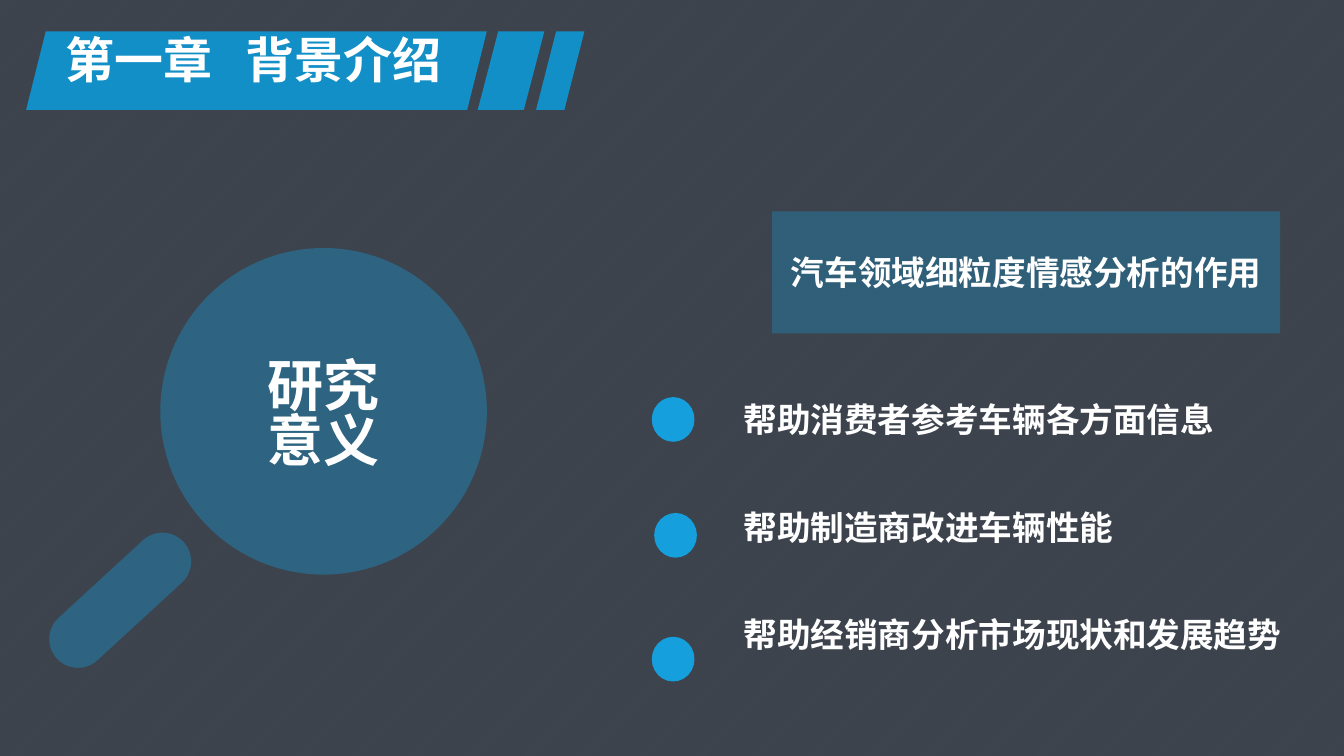
from lxml import etree
from pptx import Presentation
from pptx.dml.color import RGBColor
from pptx.enum.dml import MSO_PATTERN
from pptx.enum.shapes import MSO_SHAPE as Shape
from pptx.enum.text import MSO_ANCHOR as Anchor, MSO_AUTO_SIZE as AutoSize, PP_ALIGN as Align
from pptx.oxml.ns import qn
from pptx.util import Cm, Pt

SLATE = RGBColor(0x22, 0x2A, 0x35)
STRIPE = RGBColor(0xBF, 0xBF, 0xBF)
PAPER = RGBColor(0xDD, 0xDC, 0xE2)
RIBBON = RGBColor(0x13, 0x8F, 0xC7)
SKY = RGBColor(0x15, 0x9F, 0xDD)
WHITE = RGBColor(0xFF, 0xFF, 0xFF)
FONT = "Noto Sans CJK SC"
WIDTH, HEIGHT = 33.87, 19.05  # all plain lengths are centimetres

BENEFITS = ["帮助消费者参考车辆各方面信息", "帮助制造商改进车辆性能", "帮助经销商分析市场现状和发展趋势"]


def add_filled(slide, preset, box, color, opacity=100):
    shape = slide.shapes.add_shape(preset, *map(Cm, box))
    shape.shadow.inherit = False
    shape.fill.solid()
    shape.fill.fore_color.rgb = color
    shape.line.fill.background()
    if opacity < 100:
        fill_color = next(shape._element.spPr.iter(qn("a:srgbClr")))
        etree.SubElement(fill_color, qn("a:alpha"), val=str(opacity * 1000))
    return shape


def format_text(frame, size, align):
    for paragraph in frame.paragraphs:
        paragraph.alignment = align
        for run in paragraph.runs:
            run.font.size, run.font.bold = Pt(size), True
            run.font.name = FONT
            run.font.color.rgb = WHITE
            etree.SubElement(run.font._element, qn("a:ea"), typeface=FONT)


def place_placeholder(slide, placeholder, box, text, size):
    placeholder.left, placeholder.top, placeholder.width, placeholder.height = map(Cm, box)
    slide.shapes._spTree.append(placeholder._element)  # bring to front
    frame = placeholder.text_frame
    frame.text = text
    frame.margin_left = frame.margin_right = frame.margin_top = frame.margin_bottom = 0
    frame.auto_size = AutoSize.NONE
    frame.vertical_anchor = Anchor.TOP
    format_text(frame, size, Align.LEFT)
    return frame


def add_backdrop(slide, box):
    fill = slide.background.fill
    fill.patterned()
    fill.pattern = MSO_PATTERN.LIGHT_UPWARD_DIAGONAL
    fill.fore_color.rgb, fill.back_color.rgb = STRIPE, PAPER
    add_filled(slide, Shape.RECTANGLE, box, SLATE, 85)


def add_chapter_ribbon(slide, box):
    left, top, width, height = box
    # Slanted bands: offset, width, slant
    for offset, band_width, slant in [(0, 11.61, 0.25), (11.38, 1.68, 0.308), (12.85, 1.22, 0.415)]:
        band = add_filled(slide, Shape.PARALLELOGRAM, (left + offset, top, band_width, height), RIBBON)
        band.adjustments[0] = slant
    # Chapter number and name, parted by a tab stop
    frame = place_placeholder(slide, slide.shapes.title, (left + 0.99, top - 0.05, 10.2, 1.75),
                              "第一章\t背景介绍", 35)
    tabs = etree.SubElement(frame.paragraphs[0]._p.get_or_add_pPr(), qn("a:tabLst"))
    etree.SubElement(tabs, qn("a:tab"), pos=str(Cm(4.53)), algn="l")


def add_magnifier(slide, box):
    left, top, width, height = box
    lens_size = 8.23
    lens = add_filled(slide, Shape.OVAL, (left + width - lens_size, top, lens_size, lens_size), SKY, 36)
    frame = lens.text_frame
    frame.text = "研究\n意义"
    frame.vertical_anchor = Anchor.MIDDLE
    format_text(frame, 40, Align.CENTER)
    frame.paragraphs[1].line_spacing = 0.81
    handle = add_filled(slide, Shape.ROUNDED_RECTANGLE, (left, top + height - 1.45, 4.34, 1.45), SKY, 36)
    handle.adjustments[0] = 0.5
    handle.rotation = 317.4


def add_banner(slide, box):
    banner = add_filled(slide, Shape.RECTANGLE, box, SKY, 30)
    banner.text_frame.text = "汽车领域细粒度情感分析的作用"
    banner.text_frame.vertical_anchor = Anchor.MIDDLE
    format_text(banner.text_frame, 24, Align.CENTER)


def add_benefits(slide, box):
    left, top, width, height = box
    # Dots
    for x, y in [(0, 0), (0.06, 2.92), (0, 6.04)]:
        dot = add_filled(slide, Shape.OVAL, (left + x, top + y, 0.97, 1.02), SKY)
        dot.line.color.rgb, dot.line.width = SKY, Pt(3)
    # Lines of the list
    frame = place_placeholder(slide, slide.placeholders[1], (left + 2.26, top, width - 2.26, height),
                              "\n".join(BENEFITS), 24)
    for row, paragraph in enumerate(frame.paragraphs):
        paragraph.line_spacing = 1.0
        paragraph.space_before = Pt(48 if row else 0)
        properties = paragraph._p.get_or_add_pPr()
        properties.set("marL", "0")
        properties.set("indent", "0")
        etree.SubElement(properties, qn("a:buNone"))


def main():
    deck = Presentation()
    deck.slide_width, deck.slide_height = Cm(WIDTH), Cm(HEIGHT)
    slide = deck.slides.add_slide(deck.slide_layouts[1])
    add_backdrop(slide, (0, 0, WIDTH, HEIGHT))
    add_chapter_ribbon(slide, (0.66, 0.79, 14.07, 1.98))
    add_magnifier(slide, (0.86, 6.25, 11.41, 9.6))
    add_banner(slide, (19.46, 5.33, 12.8, 3.07))
    add_benefits(slide, (16.48, 10.06, 16.46, 7.8))
    deck.save("out.pptx")


if __name__ == "__main__":
    main()
